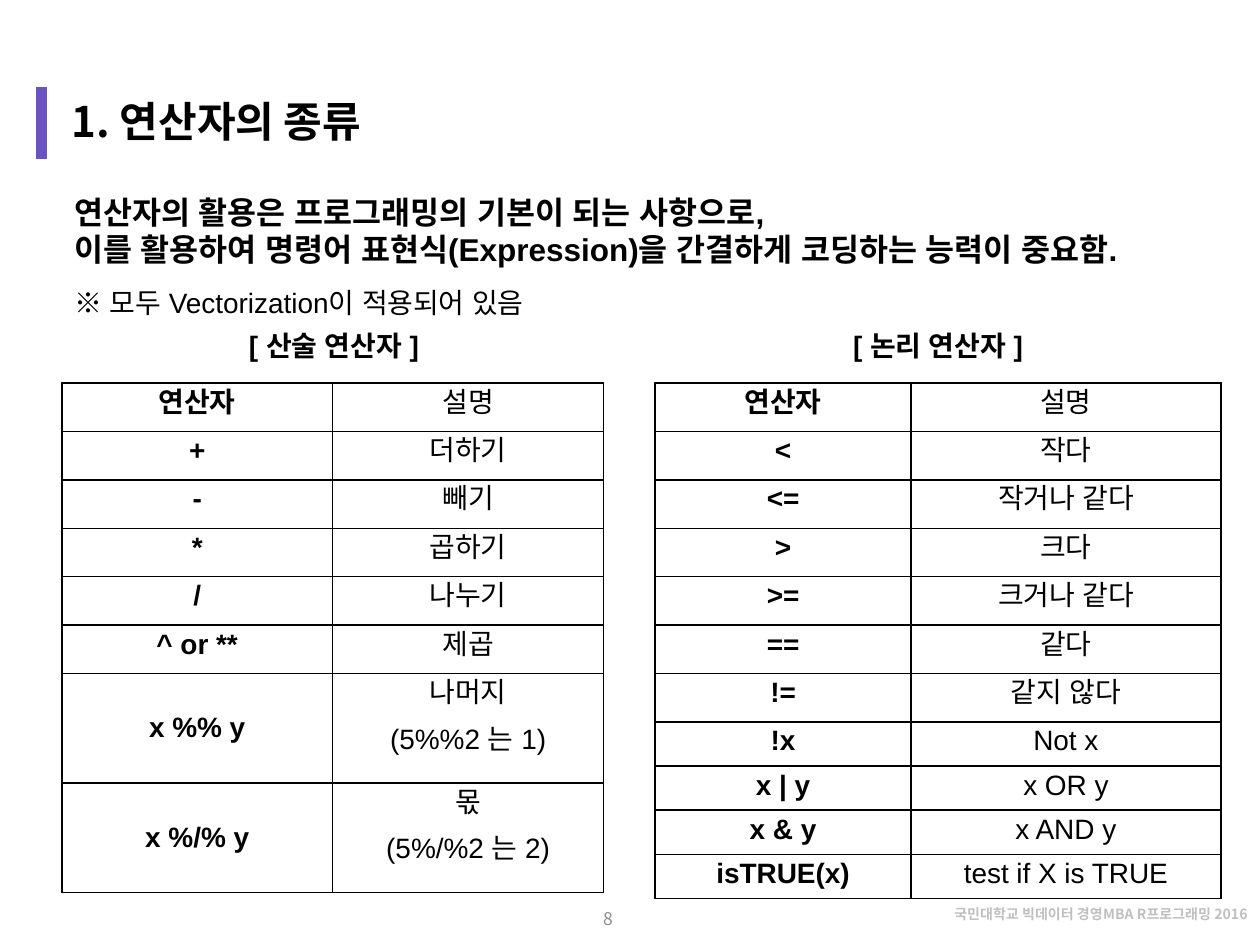
from lxml.etree import SubElement
from pptx import Presentation
from pptx.dml.color import RGBColor
from pptx.enum.shapes import MSO_CONNECTOR
from pptx.enum.text import MSO_ANCHOR, MSO_AUTO_SIZE, PP_ALIGN
from pptx.oxml.ns import qn
from pptx.util import Inches, Pt

BLACK = RGBColor(0x00, 0x00, 0x00)
PURPLE = RGBColor(0x6C, 0x53, 0xC3)
GRAY = RGBColor(0x8C, 0x8C, 0x8C)
LIGHT_GRAY = RGBColor(0xBF, 0xBF, 0xBF)
KOREAN_FONT = "Noto Sans CJK KR"

TABLE_TOP = 3.04
LATIN_ROW_HEIGHT = 0.35
KOREAN_ROW_HEIGHT = 2.69 / 7
TWO_LINE_ROW_HEIGHT = 0.87
ARITHMETIC_ROWS = [
    ("연산자", "설명"),
    ("+", "더하기"),
    ("-", "빼기"),
    ("*", "곱하기"),
    ("/", "나누기"),
    ("^ or **", "제곱"),
    ("x %% y", "나머지\n(5%%2 는 1)"),
    ("x %/% y", "몫\n(5%/%2 는 2)"),
]
LOGICAL_ROWS = [
    ("연산자", "설명"),
    ("<", "작다"),
    ("<=", "작거나 같다"),
    (">", "크다"),
    (">=", "크거나 같다"),
    ("==", "같다"),
    ("!=", "같지 않다"),
    ("!x", "Not x"),
    ("x | y", "x OR y"),
    ("x & y", "x AND y"),
    ("isTRUE(x)", "test if X is TRUE"),
]


def write_paragraph(paragraph, text, size=16, bold=False, color=BLACK,
                    font="Arial", align=PP_ALIGN.LEFT, spacing=1.0):
    paragraph.alignment = align
    paragraph.line_spacing = spacing
    run = paragraph.add_run()
    run.text = text
    for name, value in {"name": font, "size": Pt(size), "bold": bold}.items():
        setattr(run.font, name, value)
    run.font.color.rgb = color
    SubElement(run.font._element, qn("a:ea"), typeface=font)


def add_text(slide, left, top, width, height, text, anchor=MSO_ANCHOR.TOP, **style):
    shape = slide.shapes.add_textbox(
        Inches(left), Inches(top), Inches(width), Inches(height))
    frame = shape.text_frame
    frame.word_wrap = True
    frame.vertical_anchor = anchor
    write_paragraph(frame.paragraphs[0], text, **style)
    return frame


def add_title(slide, text):
    title = slide.shapes.title
    box = {"left": 0.47, "top": 0.76, "width": 9.03, "height": 0.39}
    for name, value in box.items():
        setattr(title, name, Inches(value))
    frame = title.text_frame
    frame.auto_size = MSO_AUTO_SIZE.NONE
    frame.vertical_anchor = MSO_ANCHOR.MIDDLE
    paragraph = frame.paragraphs[0]
    properties = paragraph._p.get_or_add_pPr()
    properties.set("marL", str(Inches(0.39)))
    properties.set("indent", str(Inches(-0.39)))
    write_paragraph(paragraph, text, size=24, bold=True, font=KOREAN_FONT)


def add_title_bar(slide):
    bar = slide.shapes.add_connector(
        MSO_CONNECTOR.STRAIGHT, Inches(0.33), Inches(0.69), Inches(0.33), Inches(1.26))
    bar.line.color.rgb = PURPLE
    bar.line.width = Pt(6)
    SubElement(bar._element.spPr, qn("a:effectLst"))


def add_introduction(slide):
    frame = add_text(slide, 0.49, 1.48, 9.19, 1.11,
                     "연산자의 활용은 프로그래밍의 기본이 되는 사항으로,", size=18, bold=True)
    write_paragraph(
        frame.add_paragraph(),
        "이를 활용하여 명령어 표현식(Expression)을 간결하게 코딩하는 능력이 중요함.",
        size=18, bold=True)
    write_paragraph(frame.add_paragraph(), "※ 모두 Vectorization이 적용되어 있음",
                    spacing=1.5)


def add_borders(cell):
    properties = cell._tc.get_or_add_tcPr()
    for position, side in enumerate(("lnL", "lnR", "lnT", "lnB")):
        line = properties.makeelement(qn(f"a:{side}"), {"w": str(Pt(1))})
        fill = SubElement(line, qn("a:solidFill"))
        SubElement(fill, qn("a:srgbClr"), val=str(BLACK))
        properties.insert(position, line)


def format_cell(cell, text, bold, anchor):
    cell.fill.background()
    cell.vertical_anchor = anchor
    for side in ("left", "right", "top", "bottom"):
        setattr(cell, f"margin_{side}", Inches(0.03))
    add_borders(cell)
    frame = cell.text_frame
    for index, line in enumerate(text.split("\n")):
        paragraph = frame.add_paragraph() if index else frame.paragraphs[0]
        write_paragraph(paragraph, line, bold=bold, align=PP_ALIGN.CENTER,
                        spacing=1.5 if index else 1.0)


def row_height(description):
    """Korean glyphs need a taller line than Latin ones."""
    if "\n" in description:
        return TWO_LINE_ROW_HEIGHT
    return LATIN_ROW_HEIGHT if description.isascii() else KOREAN_ROW_HEIGHT


def add_operator_table(slide, left, column_widths, rows):
    heights = [row_height(description) for _, description in rows]
    table = slide.shapes.add_table(
        len(rows), 2, Inches(left), Inches(TABLE_TOP),
        Inches(sum(column_widths)), Inches(sum(heights))).table
    table.first_row = False
    table.horz_banding = False
    for column, width in zip(table.columns, column_widths):
        column.width = Inches(width)
    for row, height, (operator, description) in zip(table.rows, heights, rows):
        row.height = Inches(height)
        anchor = MSO_ANCHOR.MIDDLE if "\n" in description else MSO_ANCHOR.TOP
        format_cell(row.cells[0], operator, True, anchor)
        format_cell(row.cells[1], description, False, MSO_ANCHOR.TOP)


def main():
    presentation = Presentation()
    presentation.slide_width = Inches(10)
    presentation.slide_height = Inches(7.5)
    slide = presentation.slides.add_slide(presentation.slide_layouts[5])

    add_text(slide, 6.87, 7.15, 3.13, 0.28, "국민대학교 빅데이터 경영MBA R프로그래밍 2016",
             size=8, bold=True, color=LIGHT_GRAY, font=KOREAN_FONT,
             align=PP_ALIGN.RIGHT, spacing=0.9)
    add_title_bar(slide)
    add_text(slide, 3.7, 7.09, 2.25, 0.4, "8", anchor=MSO_ANCHOR.MIDDLE, size=10,
             color=GRAY, font=KOREAN_FONT, align=PP_ALIGN.CENTER)
    add_operator_table(slide, 0.49, (2.15, 2.15), ARITHMETIC_ROWS)
    add_operator_table(slide, 5.2, (2.03, 2.46), LOGICAL_ROWS)
    add_introduction(slide)
    for left, width, heading in ((0.49, 4.32, "[ 산술 연산자 ]"),
                                 (5.21, 4.47, "[ 논리 연산자 ]")):
        add_text(slide, left, 2.56, width, 0.37, heading, bold=True,
                 align=PP_ALIGN.CENTER)
    add_title(slide, "1. 연산자의 종류")

    presentation.save("out.pptx")


if __name__ == "__main__":
    main()
